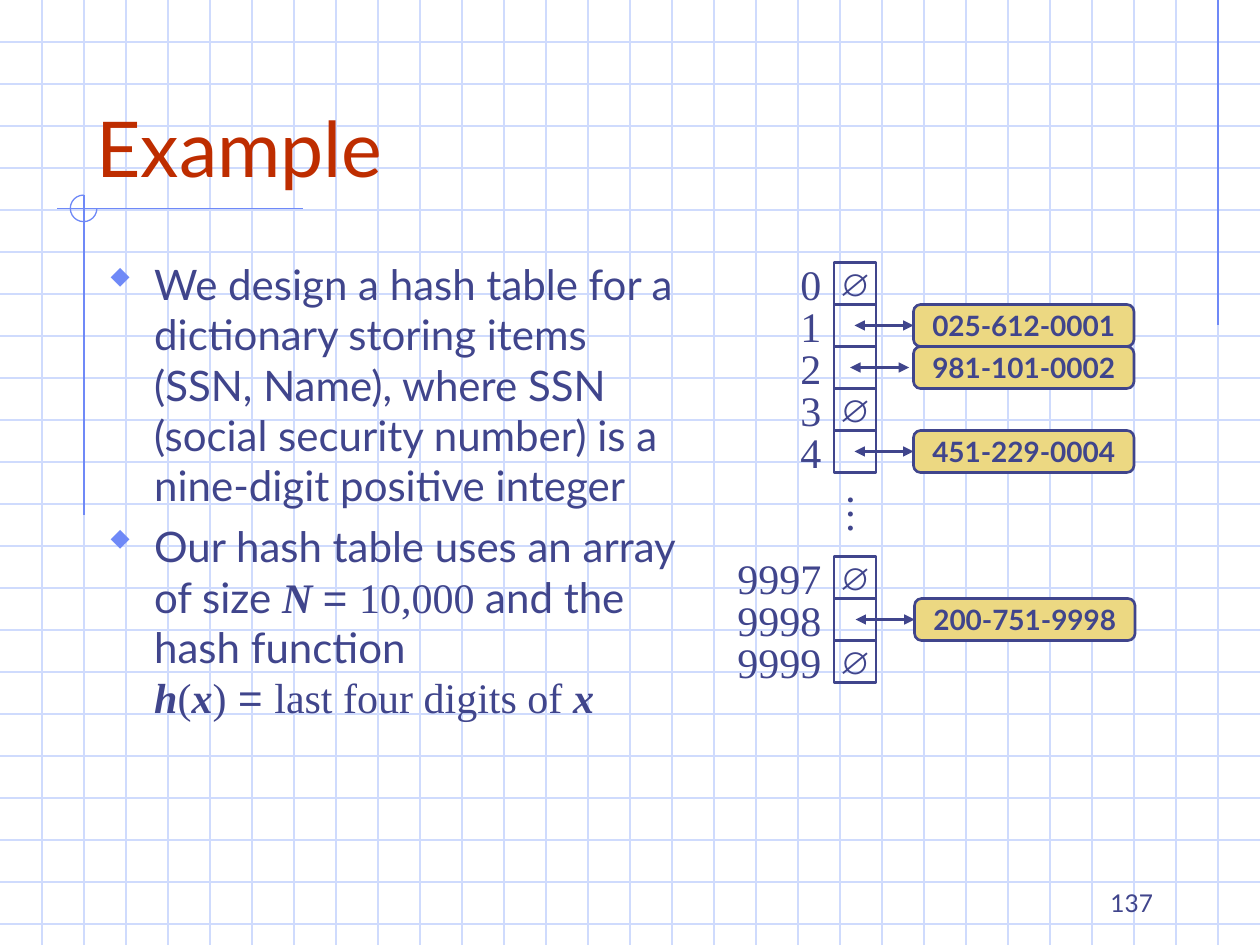
from dataclasses import dataclass

from lxml.etree import SubElement
from pptx import Presentation
from pptx.dml.color import RGBColor
from pptx.enum.shapes import MSO_CONNECTOR as Connector, MSO_SHAPE as Preset
from pptx.enum.text import MSO_ANCHOR as Anchor, PP_ALIGN as Align
from pptx.oxml.ns import qn
from pptx.util import Pt

GRID_BLUE = RGBColor(0xCF, 0xDB, 0xFD)
ACCENT_BLUE = RGBColor(0x6F, 0x89, 0xF7)
TITLE_RED = RGBColor(0xBE, 0x2D, 0x00)
INK = RGBColor(0x40, 0x45, 0x8C)
GOLD = RGBColor(0xEC, 0xD8, 0x82)

SANS, SERIF, PLAIN = "Lato", "Times New Roman", "Arial"
WIDTH, HEIGHT, STEP = 720, 540, 24
CELL_LEFT, LABEL_RIGHT, TABLE_TOP = 476.6, 476.4, 150


@dataclass(frozen=True)
class Style:
    name: str = SANS
    size: float = 24
    bold: bool = False
    italic: bool = False
    color: RGBColor = INK


@dataclass(frozen=True)
class Area:
    left: float
    top: float
    width: float
    height: float

    def points(self) -> list:
        return [Pt(v) for v in (self.left, self.top, self.width, self.height)]


@dataclass(frozen=True)
class Slot:
    row: int
    key: str
    record: str = ""
    record_shift: float = 0
    arrow_shift: float = 0

    @property
    def top(self) -> float:
        return TABLE_TOP + self.row * STEP


BODY = Style()
MATH = Style(SERIF)
VARIABLE = Style(SERIF, bold=True, italic=True)
EQUALS = Style(PLAIN)

BULLETS = [
    [("We design a hash table for a dictionary storing items (SSN, Name), "
      "where SSN (social security number) is a nine-digit positive integer", BODY)],
    [("Our hash table uses an array of size ", BODY), ("N ", VARIABLE), ("= ", EQUALS),
     ("10,000", MATH), (" and the hash function\n", BODY), ("h", VARIABLE), ("(", MATH),
     ("x", VARIABLE), (")", MATH), (" = ", EQUALS), ("last four digits of ", MATH),
     ("x", VARIABLE)],
]

SLOTS = [
    Slot(0, "0"),
    Slot(1, "1", "025-612-0001"),
    Slot(2, "2", "981-101-0002", arrow_shift=-2.5),
    Slot(3, "3"),
    Slot(4, "4", "451-229-0004"),
    Slot(7, "9997"),
    Slot(8, "9998", "200-751-9998", record_shift=0.6, arrow_shift=0.6),
    Slot(9, "9999"),
]


def add_span(para, text: str, style: Style) -> None:
    span = para.add_run()
    span.text = text
    values = {"name": style.name, "size": Pt(style.size),
              "bold": style.bold, "italic": style.italic}
    for key, value in values.items():
        setattr(span.font, key, value)
    span.font.color.rgb = style.color


def set_frame(shape, anchor: Anchor, wrap: bool):
    frame = shape.text_frame
    values = {"margin_left": Pt(7.2), "margin_right": Pt(7.2), "margin_top": Pt(3.6),
              "margin_bottom": Pt(3.6), "vertical_anchor": anchor, "word_wrap": wrap}
    for key, value in values.items():
        setattr(frame, key, value)
    return frame


def write(shape, text: str, style: Style, align: Align, anchor: Anchor, wrap: bool) -> None:
    para = set_frame(shape, anchor, wrap).paragraphs[0]
    para.alignment = align
    add_span(para, text, style)


def add_text(page, area: Area, text: str, style: Style, align: Align = Align.LEFT,
             anchor: Anchor = Anchor.TOP, wrap: bool = True):
    box = page.shapes.add_textbox(*area.points())
    write(box, text, style, align, anchor, wrap)
    return box


def add_line(page, x1: float, y1: float, x2: float, y2: float, color: RGBColor,
             width: float = 0.75, arrows: bool = False) -> None:
    line = page.shapes.add_connector(Connector.STRAIGHT, Pt(x1), Pt(y1), Pt(x2), Pt(y2))
    line.line.color.rgb = color
    line.line.width = Pt(width)
    if arrows:
        for end in ("a:headEnd", "a:tailEnd"):
            SubElement(line.line._ln, qn(end), type="triangle")
    SubElement(line._element.spPr, qn("a:effectLst"))


def add_outline(page, preset: Preset, area: Area, color: RGBColor, width: float, fill=None):
    shape = page.shapes.add_shape(preset, *area.points())
    shape.shadow.inherit = False
    shape.line.color.rgb = color
    shape.line.width = Pt(width)
    if fill is None:
        shape.fill.background()
    else:
        shape.fill.solid()
        shape.fill.fore_color.rgb = fill
    return shape


def add_diamond_bullet(para) -> None:
    props = para._p.get_or_add_pPr()
    props.set("marL", str(Pt(27)))
    props.set("indent", str(Pt(-27)))
    SubElement(SubElement(props, qn("a:buClr")), qn("a:srgbClr"), val=str(ACCENT_BLUE))
    SubElement(props, qn("a:buSzPct"), val="110000")
    # The symbol font draws its letter w as a diamond
    SubElement(props, qn("a:buFont"), typeface="Wingdings", pitchFamily="2", charset="2")
    SubElement(props, qn("a:buChar"), char="w")


def add_bullets(page, area: Area) -> None:
    box = page.shapes.add_textbox(*area.points())
    frame = set_frame(box, Anchor.TOP, True)
    for index, spans in enumerate(BULLETS):
        para = frame.add_paragraph() if index else frame.paragraphs[0]
        add_diamond_bullet(para)
        if index:
            para.space_before = Pt(6)
        for text, style in spans:
            add_span(para, text.rstrip("\n"), style)
            if text.endswith("\n"):
                para.add_line_break()


def add_slot(page, slot: Slot) -> None:
    cell = add_outline(page, Preset.RECTANGLE, Area(CELL_LEFT, slot.top, STEP, STEP), INK, 1.5)
    label_width = 14.4 + 12 * len(slot.key)
    add_text(page, Area(LABEL_RIGHT - label_width, slot.top - 6, label_width, 36), slot.key,
             MATH, Align.RIGHT, wrap=False)
    if not slot.record:
        write(cell, "∅", Style(PLAIN, 18), Align.CENTER, Anchor.MIDDLE, False)
        return
    record = add_outline(page, Preset.ROUNDED_RECTANGLE,
                         Area(522 + slot.record_shift, slot.top, 126, STEP), INK, 1.5, GOLD)
    write(record, slot.record, Style(size=16, bold=True), Align.CENTER, Anchor.MIDDLE, False)
    middle = slot.top + STEP / 2
    add_line(page, 488.3 + slot.arrow_shift, middle, 522 + slot.arrow_shift, middle,
             INK, 1.5, arrows=True)


def main() -> None:
    deck = Presentation()
    deck.slide_width, deck.slide_height = Pt(WIDTH), Pt(HEIGHT)
    page = deck.slides.add_slide(deck.slide_layouts[6])

    # Graph paper
    for y in range(STEP, HEIGHT, STEP):
        add_line(page, 0, y, WIDTH, y, GRID_BLUE)
    for x in range(STEP, WIDTH, STEP):
        add_line(page, x, 0, x, HEIGHT, GRID_BLUE)

    # Accent lines and three-quarter circle
    add_line(page, 696, 0, 696, 186, ACCENT_BLUE)
    add_line(page, 173, 119.2, 32.5, 119.2, ACCENT_BLUE)
    add_line(page, 48, 111.5, 48, 294.5, ACCENT_BLUE)
    ring = add_outline(page, Preset.ARC, Area(40.2, 111.5, 15.2, 15.2), ACCENT_BLUE, 0.75)
    ring.adjustments[0], ring.adjustments[1] = 0, 162

    # Title and bullets
    add_text(page, Area(48, 24, 612, 90), "Example", Style(size=44, color=TITLE_RED),
             anchor=Anchor.BOTTOM)
    add_bullets(page, Area(54, 144, 342, 348))

    # Hash table
    for slot in SLOTS:
        add_slot(page, slot)
    dots = add_text(page, Area(475.2, 276, 38.4, 36), "…", MATH, Align.CENTER, wrap=False)
    dots.rotation = 90

    # Page number
    add_text(page, Area(516, 492, 150, 36), "137", Style(size=14), Align.RIGHT, Anchor.BOTTOM)

    deck.save("out.pptx")


if __name__ == "__main__":
    main()
